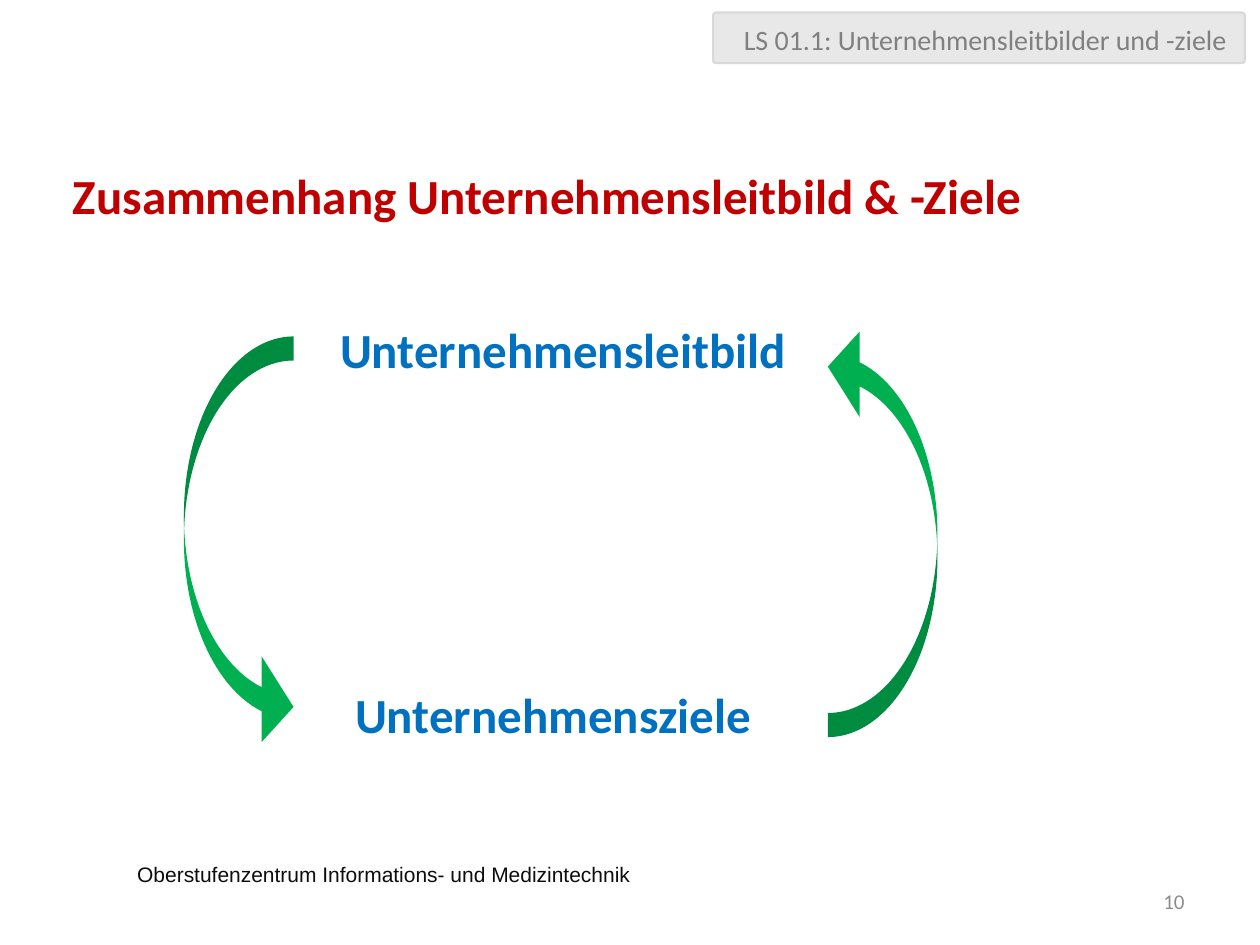
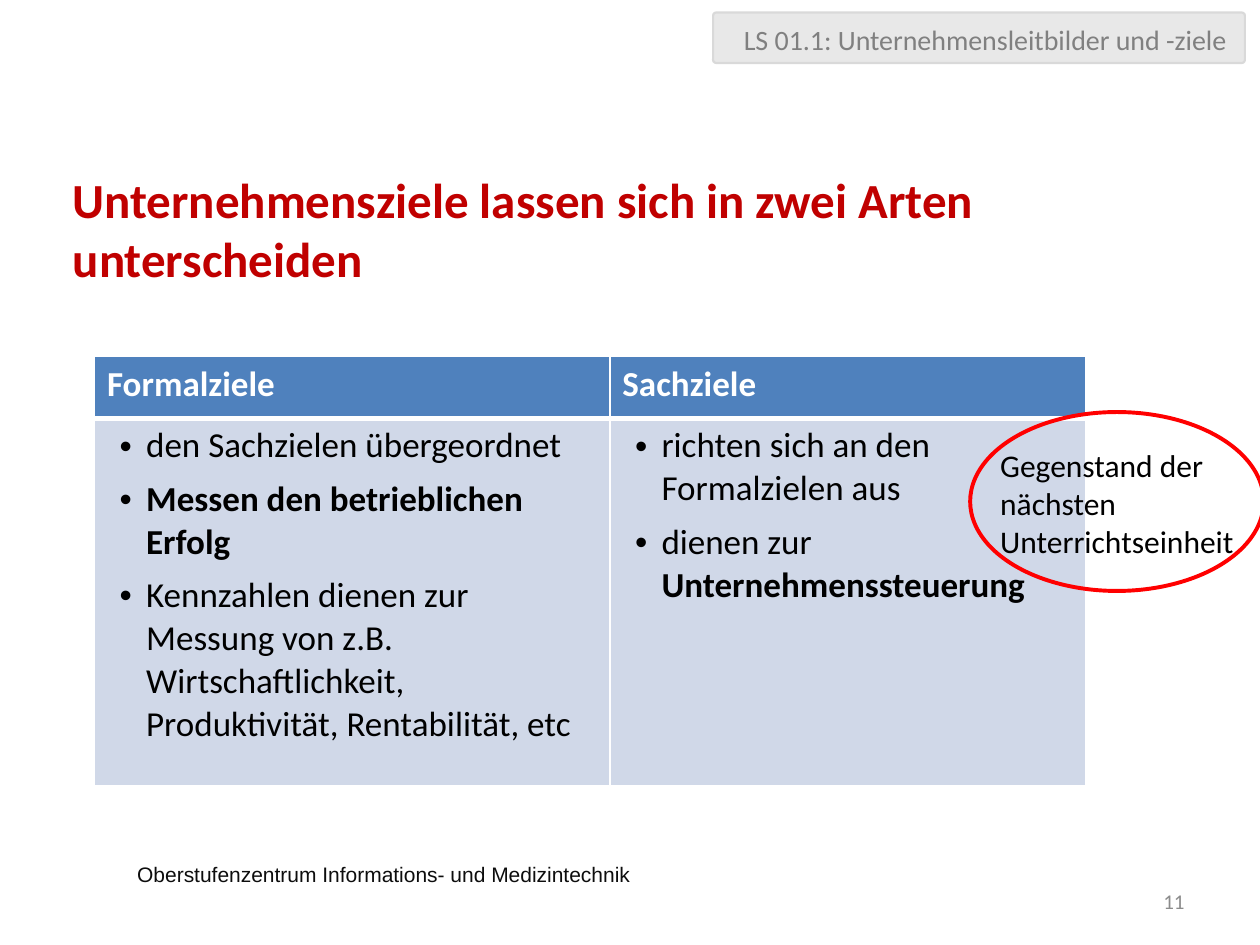
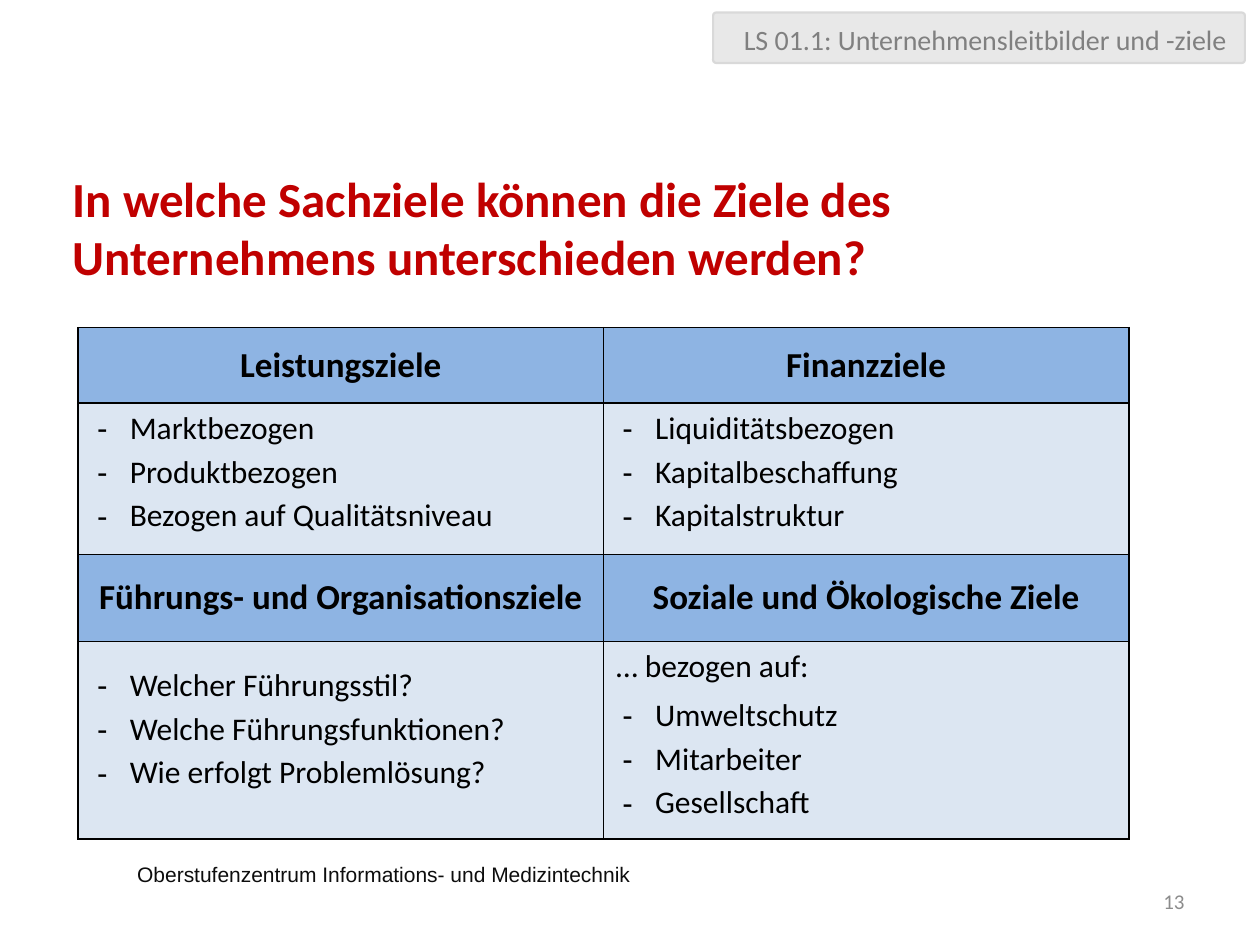
import pptx
import pptx.util
import pptx.dml.color
import pptx.enum.shapes
import pptx.enum.text
import pptx.oxml.ns
from dataclasses import dataclass
from lxml import etree

Inches = pptx.util.Inches
Pt = pptx.util.Pt
Align = pptx.enum.text.PP_ALIGN
Anchor = pptx.enum.text.MSO_ANCHOR
Shape = pptx.enum.shapes.MSO_SHAPE
qn = pptx.oxml.ns.qn


@dataclass(frozen=True)
class Theme:
    font: str = "Calibri"
    footer_font: str = "Arial"
    black: str = "000000"
    white: str = "FFFFFF"
    title: str = "C00000"
    term: str = "0070C0"
    arrow: str = "00B050"
    highlight: str = "FF0000"
    banner_fill: str = "E8E8E8"
    banner_line: str = "D9D9D9"
    banner_text: str = "808080"
    footer: str = "0D0D0D"
    page_number: str = "8C8C8C"
    kinds_head: str = "4F81BD"
    kinds_body: str = "D0D8E8"
    goals_head: str = "8EB4E3"
    goals_body: str = "DCE6F2"
    title_size: int = 28
    head_size: int = 20
    body_size: int = 18
    banner_size: int = 16
    footer_size: int = 12


@dataclass(frozen=True)
class Bullet:
    """A list sign with its text indent and hanging distance in inches."""
    sign: str
    indent: float
    hanging: float


@dataclass(frozen=True)
class Line:
    """One paragraph; strong_end is a bold ending."""
    text: str
    bold: bool = False
    strong_end: str = ""
    bullet: Bullet = None
    after: int = 0


DOT = Bullet("•", 0.31, 0.21)
DASH = Bullet("-", 0.31, 0.26)


def rgb(color):
    return pptx.dml.color.RGBColor.from_string(color)


def dot_line(text, bold=False, strong_end=""):
    return Line(text, bold, strong_end, DOT, 6)


def dash_lines(*texts):
    return [Line(text, bullet=DASH, after=3) for text in texts]


class Builder:
    def __init__(self, theme):
        self.theme = theme
        self.deck = pptx.Presentation()
        self.deck.slide_width = Inches(10)
        self.deck.slide_height = Inches(7.5)
        self.page = None

    def new_page(self, number, title, title_top, title_height):
        """Starts a slide with the footer, number, title and banner."""
        theme = self.theme
        self.page = self.deck.slides.add_slide(self.deck.slide_layouts[6])
        self.text(0.99, 6.74, 7.95, 0.4,
                  [Line("Oberstufenzentrum Informations- und Medizintechnik")],
                  theme.footer_size, theme.footer, anchor=Anchor.MIDDLE,
                  font=theme.footer_font)
        self.text(7.17, 6.95, 2.33, 0.4, [Line(str(number))],
                  theme.footer_size, theme.page_number, Align.RIGHT, Anchor.MIDDLE)
        self.text(0.48, title_top, 8.61, title_height,
                  [Line(title, bold=True, after=12)],
                  theme.title_size, theme.title, anchor=Anchor.MIDDLE)
        banner = self.shape(Shape.ROUNDED_RECTANGLE, 5.66, 0.1, 4.22, 0.4,
                            fill=theme.banner_fill, line=theme.banner_line,
                            line_width=1.25)
        banner.adjustments[0] = 0.06
        self.text(5.71, 0.12, 4.22, 0.38,
                  [Line("LS 01.1: Unternehmensleitbilder und -ziele")],
                  theme.banner_size, theme.banner_text, Align.CENTER, Anchor.MIDDLE)

    def set_lines(self, frame, lines, size, color, align=Align.LEFT, font=None):
        for index, line in enumerate(lines):
            para = frame.paragraphs[0] if index == 0 else frame.add_paragraph()
            para.alignment = align
            para.space_after = Pt(line.after)
            para.font.name = font or self.theme.font
            para.font.size = Pt(size)
            para.font.color.rgb = rgb(color)
            para.font.bold = line.bold
            para.add_run().text = line.text
            if line.strong_end:
                span = para.add_run()
                span.text = line.strong_end
                span.font.bold = True
            if line.bullet:
                self.add_bullet(para, line.bullet)

    def add_bullet(self, para, bullet):
        properties = para._p.get_or_add_pPr()
        properties.set("marL", str(Inches(bullet.indent)))
        properties.set("indent", str(-Inches(bullet.hanging)))
        defaults = properties.find(qn("a:defRPr"))
        defaults.addprevious(etree.Element(qn("a:buFont"), typeface="Arial"))
        defaults.addprevious(etree.Element(qn("a:buChar"), char=bullet.sign))

    def text(self, left, top, width, height, lines, size, color,
             align=Align.LEFT, anchor=Anchor.TOP, font=None, wrap=True):
        box = self.page.shapes.add_textbox(
            Inches(left), Inches(top), Inches(width), Inches(height))
        box.text_frame.word_wrap = wrap
        box.text_frame.vertical_anchor = anchor
        self.set_lines(box.text_frame, lines, size, color, align, font)

    def shape(self, kind, left, top, width, height, fill=None, line=None, line_width=1):
        shape = self.page.shapes.add_shape(
            kind, Inches(left), Inches(top), Inches(width), Inches(height))
        shape.shadow.inherit = False
        if fill:
            shape.fill.solid()
            shape.fill.fore_color.rgb = rgb(fill)
        else:
            shape.fill.background()
        if line:
            shape.line.color.rgb = rgb(line)
            shape.line.width = Pt(line_width)
        else:
            shape.line.fill.background()
        return shape

    def curved_arrow(self, left, top, rotation=0):
        arrow = self.shape(Shape.CURVED_RIGHT_ARROW, left, top, 0.87, 3.28,
                           fill=self.theme.arrow)
        for index, value in enumerate((0.22, 0.78, 0.29)):
            arrow.adjustments[index] = value
        arrow.rotation = rotation

    def table(self, left, top, column_widths, row_heights):
        grid = self.page.shapes.add_table(
            len(row_heights), len(column_widths), Inches(left), Inches(top),
            Inches(sum(column_widths)), Inches(sum(row_heights))).table
        grid.first_row = False
        grid.horz_banding = False
        for column, width in zip(grid.columns, column_widths):
            column.width = Inches(width)
        for row, height in zip(grid.rows, row_heights):
            row.height = Inches(height)
        return grid

    def cell(self, cell, lines, fill, size, color, border, top=1, bottom=1,
             align=Align.LEFT, anchor=Anchor.TOP):
        """Fills a cell; top and bottom are border widths in points."""
        cell.fill.solid()
        cell.fill.fore_color.rgb = rgb(fill)
        cell.vertical_anchor = anchor
        self.set_lines(cell.text_frame, lines, size, color, align)
        sides = (("a:lnL", 1), ("a:lnR", 1), ("a:lnT", top), ("a:lnB", bottom))
        for index, (side, width) in enumerate(sides):
            edge = etree.Element(qn(side), w=str(Pt(width)))
            paint = etree.SubElement(edge, qn("a:solidFill"))
            etree.SubElement(paint, qn("a:srgbClr"), val=border)
            cell._tc.get_or_add_tcPr().insert(index, edge)


def build_relation(builder):
    theme = builder.theme
    builder.new_page(10, "Zusammenhang Unternehmensleitbild & -Ziele", 1.27, 0.56)
    terms = (("Unternehmensleitbild", 2.6, 2.49, 4.59),
             ("Unternehmensziele", 2.72, 5.38, 3.46))
    for term, left, top, width in terms:
        builder.text(left, top, width, 0.57, [Line(term, bold=True)],
                     theme.title_size, theme.term)
    builder.curved_arrow(1.46, 2.67)
    builder.curved_arrow(6.57, 2.57, rotation=180)


def build_kinds(builder):
    theme = builder.theme
    builder.new_page(11, "Unternehmensziele lassen sich in zwei Arten unterscheiden",
                     1.27, 1.09)
    kinds = (
        ("Formalziele", 0.75, 4.09, [
            dot_line("den Sachzielen übergeordnet"),
            dot_line("Messen den betrieblichen Erfolg", bold=True),
            dot_line("Kennzahlen dienen zur Messung von z.B. "
                     "Wirtschaftlichkeit, Produktivität, Rentabilität, etc")]),
        ("Sachziele", 4.84, 3.78, [
            dot_line("richten sich an den Formalzielen aus"),
            dot_line("dienen zur ", strong_end="Unternehmenssteuerung")]),
    )
    for heading, left, width, lines in kinds:
        grid = builder.table(left, 2.83, [width], [0.49, 2.92])
        builder.cell(grid.cell(0, 0), [Line(heading, bold=True)], theme.kinds_head,
                     theme.head_size, theme.white, theme.white, bottom=3)
        builder.cell(grid.cell(1, 0), lines, theme.kinds_body,
                     theme.head_size, theme.black, theme.white, top=3)
    builder.shape(Shape.OVAL, 7.7, 3.27, 2.33, 1.42, line=theme.highlight,
                  line_width=2.25)
    remark = ("Gegenstand der", "nächsten", "Unterrichtseinheit")
    builder.text(7.84, 3.49, 2.07, 1.01, [Line(words) for words in remark],
                 theme.body_size, theme.black, wrap=False)


def build_goals(builder):
    theme = builder.theme
    builder.new_page(13, "In welche Sachziele können die Ziele des Unternehmens "
                         "unterschieden werden?", 1.19, 1.22)
    goals = (
        (("Leistungsziele",
          dash_lines("Marktbezogen", "Produktbezogen", "Bezogen auf Qualitätsniveau")),
         ("Finanzziele",
          dash_lines("Liquiditätsbezogen", "Kapitalbeschaffung", "Kapitalstruktur"))),
        (("Führungs- und Organisationsziele",
          dash_lines("Welcher Führungsstil?", "Welche Führungsfunktionen?",
                     "Wie erfolgt Problemlösung?")),
         ("Soziale und Ökologische Ziele",
          [Line("… bezogen auf:", after=6)]
          + dash_lines("Umweltschutz", "Mitarbeiter", "Gesellschaft"))),
    )
    grid = builder.table(0.62, 2.6, [4.17, 4.17], [0.6, 1.2, 0.69, 1.57])
    for band, pair in enumerate(goals):
        for column, (heading, lines) in enumerate(pair):
            builder.cell(grid.cell(2 * band, column), [Line(heading, bold=True)],
                         theme.goals_head, theme.head_size, theme.black, theme.black,
                         align=Align.CENTER, anchor=Anchor.MIDDLE)
            builder.cell(grid.cell(2 * band + 1, column), lines, theme.goals_body,
                         theme.body_size, theme.black, theme.black)
    grid.cell(3, 0).margin_top = Inches(0.2)


def main():
    builder = Builder(Theme())
    build_relation(builder)
    build_kinds(builder)
    build_goals(builder)
    builder.deck.save("out.pptx")


if __name__ == "__main__":
    main()
